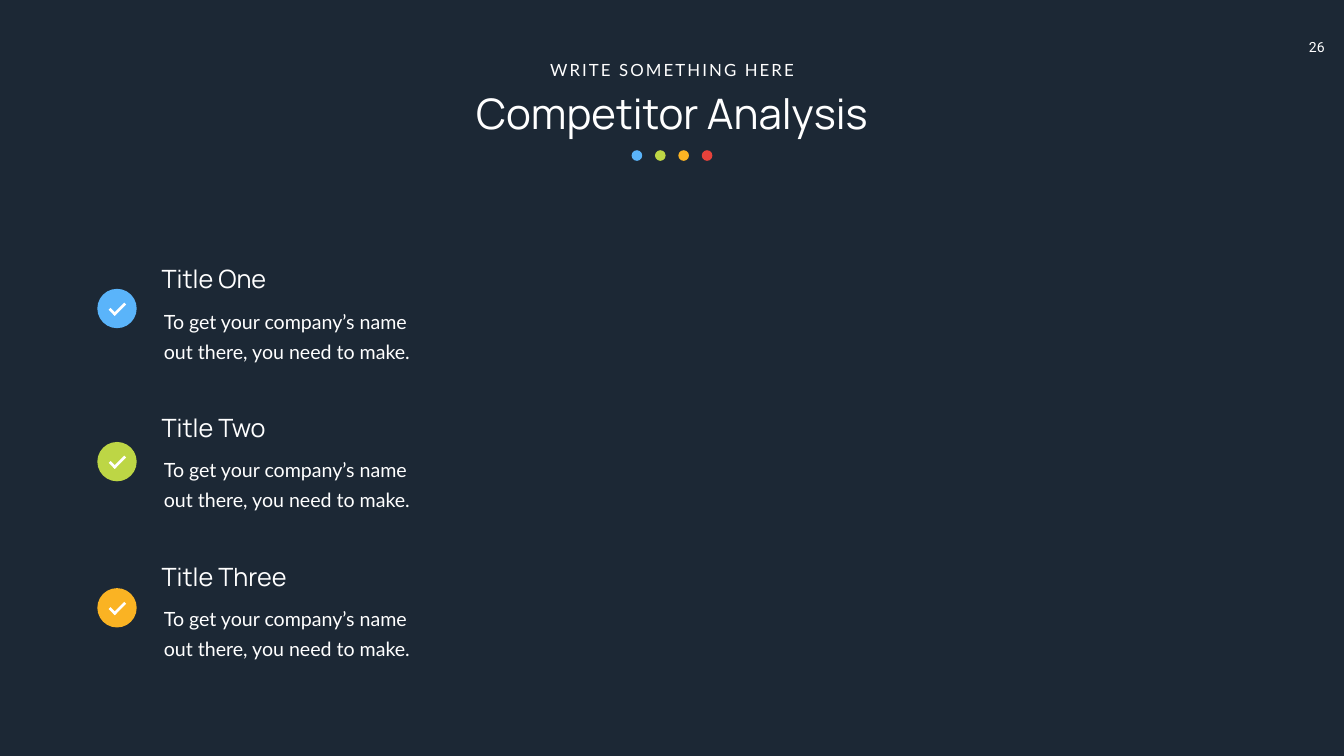
from dataclasses import dataclass

from pptx import Presentation
from pptx.dml.color import RGBColor
from pptx.enum.shapes import MSO_SHAPE
from pptx.enum.text import MSO_ANCHOR, MSO_AUTO_SIZE, PP_ALIGN
from pptx.util import Pt

OVAL, RECTANGLE = MSO_SHAPE.OVAL, MSO_SHAPE.RECTANGLE
LEFT, CENTER = PP_ALIGN.LEFT, PP_ALIGN.CENTER
TOP, NO_AUTOFIT = MSO_ANCHOR.TOP, MSO_AUTO_SIZE.NONE

NAVY = RGBColor(0x1C, 0x28, 0x35)
WHITE = RGBColor(0xFF, 0xFF, 0xFF)
BLUE = RGBColor(0x5A, 0xB4, 0xFA)
GREEN = RGBColor(0xBD, 0xD6, 0x45)
AMBER = RGBColor(0xFA, 0xB3, 0x23)
RED = RGBColor(0xE5, 0x42, 0x3B)

SLIDE_WIDTH, SLIDE_HEIGHT = 1919.52, 1080


@dataclass(frozen=True)
class Box:
    left: float
    top: float
    width: float
    height: float


@dataclass(frozen=True)
class TextStyle:
    font: str
    size: float
    align: PP_ALIGN = LEFT
    inset_x: float = 7.2
    inset_y: float = 3.6
    line_spacing: float | None = None
    letter_spacing: float = 0


@dataclass(frozen=True)
class Point:
    heading: str
    color: RGBColor
    badge_top: float


PAGE_NUMBER = TextStyle("Roboto", 20, CENTER, 14.4, 7.2)
EYEBROW = TextStyle("Lato", 24, CENTER, letter_spacing=3)
TITLE = TextStyle("Manrope", 60, CENTER)
HEADING = TextStyle("Manrope", 36)
DETAIL = TextStyle("Lato", 28, inset_x=17.28, inset_y=8.64, line_spacing=43)

DETAIL_TEXT = "To get your company’s name out there, you need to make."
POINTS = (
    Point("Title One", BLUE, 412.6),
    Point("Title Two", GREEN, 631.4),
    Point("Title Three", AMBER, 840.2),
)
FIRST_POINT_TOP, POINT_PITCH = 373, 212.4
BADGE_LEFT, BADGE_SIZE = 139, 56.2

DOT_COLORS = (BLUE, GREEN, AMBER, RED)
DOT_SIZE, DOT_PITCH, DOT_TOP = 15.2, 33.4, 214.6


def write_text(holder, text: str, style: TextStyle) -> None:
    """Put one formatted paragraph into a text box or placeholder."""
    frame = holder.text_frame
    frame.word_wrap = True
    frame.auto_size = NO_AUTOFIT
    frame.vertical_anchor = TOP
    frame.margin_left = frame.margin_right = Pt(style.inset_x)
    frame.margin_top = frame.margin_bottom = Pt(style.inset_y)
    paragraph = frame.paragraphs[0]
    paragraph.alignment = style.align
    if style.line_spacing:
        paragraph.line_spacing = Pt(style.line_spacing)
    run = paragraph.add_run()
    run.text = text
    run.font.name = style.font
    run.font.size = Pt(style.size)
    run.font.color.rgb = WHITE
    if style.letter_spacing:
        run.font._element.set("spc", str(round(style.letter_spacing * 100)))


def add_text(slide, box: Box, text: str, style: TextStyle) -> None:
    holder = slide.shapes.add_textbox(
        Pt(box.left), Pt(box.top), Pt(box.width), Pt(box.height))
    write_text(holder, text, style)


def add_solid(slide, kind: MSO_SHAPE, box: Box, color: RGBColor,
              rotation: float = 0) -> None:
    solid = slide.shapes.add_shape(
        kind, Pt(box.left), Pt(box.top), Pt(box.width), Pt(box.height))
    solid.shadow.inherit = False
    solid.fill.solid()
    solid.fill.fore_color.rgb = color
    solid.line.fill.background()
    solid.rotation = rotation


def add_check_badge(slide, top: float, color: RGBColor) -> None:
    add_solid(slide, OVAL, Box(BADGE_LEFT, top, BADGE_SIZE, BADGE_SIZE), color)
    # Short and long strokes of the tick
    add_solid(slide, RECTANGLE, Box(BADGE_LEFT + 15.8, top + 31, 12.2, 3.8), WHITE, 45)
    add_solid(slide, RECTANGLE, Box(BADGE_LEFT + 20.2, top + 27.2, 23, 3.8), WHITE, 315)


def add_point(slide, point: Point, top: float) -> None:
    add_text(slide, Box(216.7, top + 51.1, 390.2, 100), DETAIL_TEXT, DETAIL)
    add_text(slide, Box(223.9, top, 326.2, 51.1), point.heading, HEADING)
    add_check_badge(slide, point.badge_top, point.color)


def main() -> None:
    deck = Presentation()
    deck.slide_width, deck.slide_height = Pt(SLIDE_WIDTH), Pt(SLIDE_HEIGHT)
    slide = deck.slides.add_slide(deck.slide_layouts.get_by_name("Title Only"))
    slide.background.fill.solid()
    slide.background.fill.fore_color.rgb = NAVY

    # Page number and header
    add_text(slide, Box(1844.4, 48.2, 72.8, 38.9), "26", PAGE_NUMBER)
    title = slide.shapes.title
    title.left, title.top = Pt(381.6), Pt(121)
    title.width, title.height = Pt(1156.3), Pt(80)
    write_text(title, "Competitor Analysis", TITLE)
    add_text(slide, Box(774.8, 81.4, 370, 36), "WRITE SOMETHING HERE", EYEBROW)

    # Centred row of dots under the title
    row_width = DOT_PITCH * (len(DOT_COLORS) - 1) + DOT_SIZE
    row_left = (SLIDE_WIDTH - row_width) / 2
    for index, color in enumerate(DOT_COLORS):
        dot = Box(row_left + index * DOT_PITCH, DOT_TOP, DOT_SIZE, DOT_SIZE)
        add_solid(slide, OVAL, dot, color)

    # Checked points
    for index, point in enumerate(POINTS):
        add_point(slide, point, FIRST_POINT_TOP + index * POINT_PITCH)

    deck.save("out.pptx")


if __name__ == "__main__":
    main()
